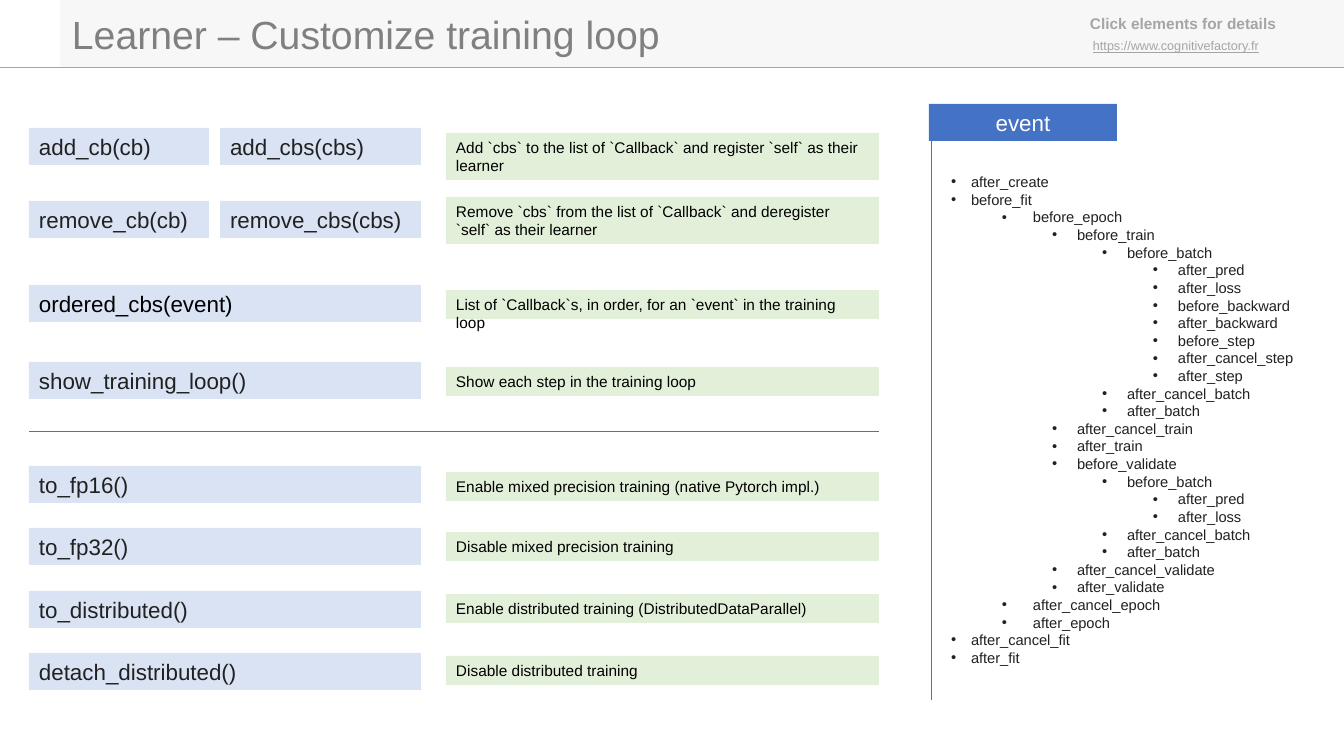
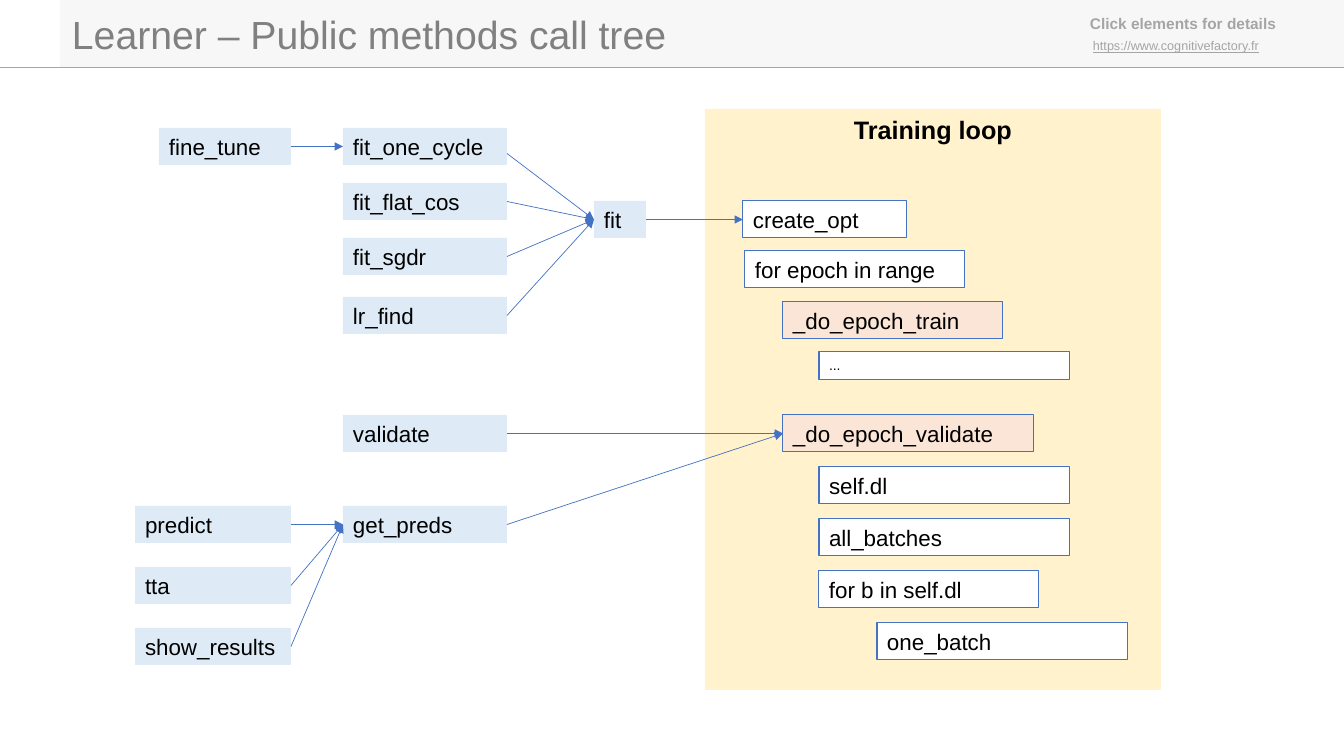
import pptx
import pptx.util
import pptx.dml.color
import pptx.enum.shapes
import pptx.enum.text
import pptx.oxml
import pptx.oxml.ns

PX = 12192000 / 1344
FONT = "Arial"
COLORS = {
    "band": "F7F7F7", "rule": "A5A5A5", "title": "808080", "ink": "212121",
    "black": "000000", "white": "FFFFFF", "accent": "4472C4",
    "method": "DAE3F3", "note": "E2F0D9", "call": "DEEBF7",
    "loop": "FFF2CC", "epoch": "FBE5D6",
}
ALIGN = pptx.enum.text.PP_ALIGN
BOX_H = 37

# y, method names, text colour, y and height of the note, note
METHODS = [
    (0, ["add_cb(cb)", "add_cbs(cbs)"], "ink", 5, 47,
     "Add `cbs` to the list of `Callback` and register `self` as their learner"),
    (73, ["remove_cb(cb)", "remove_cbs(cbs)"], "ink", 69, 47,
     "Remove `cbs` from the list of `Callback` and deregister `self` as their learner"),
    (157, ["ordered_cbs(event)"], "black", 162, 29,
     "List of `Callback`s, in order, for an `event` in the training loop"),
    (234, ["show_training_loop()"], "ink", 239, 29, "Show each step in the training loop"),
    (338, ["to_fp16()"], "ink", 344, 29,
     "Enable mixed precision training (native Pytorch impl.)"),
    (400, ["to_fp32()"], "ink", 404, 29, "Disable mixed precision training"),
    (463, ["to_distributed()"], "ink", 466, 29,
     "Enable distributed training (DistributedDataParallel)"),
    (525, ["detach_distributed()"], "ink", 528, 29, "Disable distributed training"),
]

# Two spaces of indent make one list level
EVENTS = """\
after_create
before_fit
  before_epoch
    before_train
      before_batch
        after_pred
        after_loss
        before_backward
        after_backward
        before_step
        after_cancel_step
        after_step
      after_cancel_batch
      after_batch
    after_cancel_train
    after_train
    before_validate
      before_batch
        after_pred
        after_loss
      after_cancel_batch
      after_batch
    after_cancel_validate
    after_validate
  after_cancel_epoch
  after_epoch
after_cancel_fit
after_fit"""
LEVELS = [(20, 20), (82, 31), (126, 25), (176, 25), (227, 25)]  # margin, hanging

# name, x, y, width
CALLS = [
    ("fine_tune", 24, 0, 132), ("fit", 459, 73, 52),
    ("fit_one_cycle", 208, 0, 164), ("fit_flat_cos", 208, 55, 164),
    ("fit_sgdr", 208, 110, 164), ("lr_find", 208, 169, 164),
    ("validate", 208, 287, 164), ("get_preds", 208, 378, 164),
    ("predict", 0, 378, 156), ("tta", 0, 439, 156), ("show_results", 0, 500, 156),
]

# name, x, y, width, height, fill
STEPS = [
    ("create_opt", 38, 92, 164, BOX_H, "white"),
    ("for epoch in range", 40, 142, 220, BOX_H, "white"),
    ("_do_epoch_train", 78, 193, 220, BOX_H, "epoch"),
    ("...", 114, 243, 251, 28, "white"),
    ("_do_epoch_validate", 78, 306, 251, BOX_H, "epoch"),
    ("self.dl", 114, 358, 251, BOX_H, "white"),
    ("all_batches", 114, 410, 251, BOX_H, "white"),
    ("for b in self.dl", 114, 462, 220, BOX_H, "white"),
    ("one_batch", 172, 514, 251, BOX_H, "white"),
]

# caller, called, shift of the start below the middle of the side
ARROWS = [
    ("fine_tune", "fit_one_cycle", 0), ("fit_one_cycle", "fit", 7),
    ("fit_flat_cos", "fit", 0), ("fit_sgdr", "fit", 0), ("lr_find", "fit", 0),
    ("fit", "create_opt", 0), ("validate", "_do_epoch_validate", 0),
    ("get_preds", "_do_epoch_validate", 0), ("predict", "get_preds", 0),
    ("tta", "get_preds", 0), ("show_results", "get_preds", 0),
]


def px(*values):
    return [pptx.util.Emu(round(v * PX)) for v in values]


def rgb(name):
    return pptx.dml.color.RGBColor.from_string(COLORS[name])


def add_xml(parent, tag, **attrs):
    el = pptx.oxml.parse_xml(f"<a:{tag} {pptx.oxml.ns.nsdecls('a')}/>")
    for key, value in attrs.items():
        el.set(key, value)
    parent.append(el)


def setup_frame(tf, anchor=pptx.enum.text.MSO_ANCHOR.TOP):
    tf.word_wrap = True
    tf.auto_size = pptx.enum.text.MSO_AUTO_SIZE.NONE
    tf.vertical_anchor = anchor
    tf.margin_left, tf.margin_right, tf.margin_top, tf.margin_bottom = px(10, 10, 5, 5)


def format_runs(p, size, color, bold=False, underline=False):
    for r in p.runs:
        r.font.name = FONT
        r.font.size = pptx.util.Pt(size)
        r.font.color.rgb = rgb(color)
        r.font.bold = bold
        r.font.underline = underline


def set_text(sp, text, size, color, align=ALIGN.LEFT, **style):
    setup_frame(sp.text_frame)
    p = sp.text_frame.paragraphs[0]
    p.text = text
    p.alignment = align
    format_runs(p, size, color, **style)


def add_box(slide, box, fill, line=None):
    sp = slide.shapes.add_shape(pptx.enum.shapes.MSO_SHAPE.RECTANGLE, *px(*box))
    sp.shadow.inherit = False
    sp.fill.solid()
    sp.fill.fore_color.rgb = rgb(fill)
    if line:
        sp.line.color.rgb = rgb(line)
        sp.line.width = pptx.util.Pt(0.75)
    else:
        sp.line.fill.background()
    return sp


def add_line(slide, x1, y1, x2, y2, color="accent"):
    line = slide.shapes.add_connector(
        pptx.enum.shapes.MSO_CONNECTOR.STRAIGHT, *px(x1, y1, x2, y2))
    line.line.color.rgb = rgb(color)
    line.line.width = pptx.util.Pt(0.5)
    add_xml(line.element.spPr, "effectLst")
    return line


def add_arrow(slide, start, end, shift):
    y = start.top + start.height // 2
    arrow = add_line(slide, 0, 0, 1, 1)
    if shift:
        arrow.begin_x = start.left + start.width
        arrow.begin_y = y + px(shift)[0]
    else:
        arrow.begin_connect(start, 3)
    arrow.end_connect(end, 1)
    add_xml(arrow.line._get_or_add_ln(), "tailEnd", type="triangle")


def place(sp, box):
    sp.left, sp.top, sp.width, sp.height = px(*box)


def add_title(slide, text):
    title = slide.shapes.title
    place(title, (62, 5, 620, 57))
    set_text(title, text, 28, "title")
    title.text_frame.vertical_anchor = pptx.enum.text.MSO_ANCHOR.MIDDLE


def move_header_to_master(slide, master):
    """Draw the header band and hand it to the master, behind its placeholders."""
    parts = [add_box(slide, (60, 0, 1284, 67), "band"),
             add_line(slide, 0, 67, 1344, 67, "rule")]
    for box, text, size, style in [
            ((1080, 9, 214, 29), "Click elements for details", 11, {"bold": True}),
            ((1083, 33, 211, 25), "https://www.cognitivefactory.fr", 9, {"underline": True})]:
        sp = slide.shapes.add_textbox(*px(*box))
        set_text(sp, text, size, "rule", **style)
        parts.append(sp)
    for i, sp in enumerate(parts):
        sp.element.xpath(".//p:cNvPr")[0].set("id", str(101 + i))
        master.shapes.element.insert(2 + i, sp.element)


def add_methods(slide, left, top):
    columns = {1: [(0, 392)], 2: [(0, 180), (191, 201)]}
    for y, names, color, note_y, note_h, note in METHODS:
        for name, (x, w) in zip(names, columns[len(names)]):
            sp = add_box(slide, (left + x, top + y, w, BOX_H), "method")
            set_text(sp, name, 16, color)
        sp = add_box(slide, (left + 417, top + note_y, 433, note_h), "note")
        set_text(sp, note, 11, "black")
    add_line(slide, left, top + 303, left + 850, top + 303)


def add_events(slide, body, left, top):
    sp = add_box(slide, (left, top, 188, BOX_H), "accent")
    set_text(sp, "event", 16, "white", ALIGN.CENTER)
    add_line(slide, left + 2, top, left + 2, top + 596)

    place(body, (left + 12, top + 64, 374, 509))
    tf = body.text_frame
    setup_frame(tf)
    for i, row in enumerate(EVENTS.splitlines()):
        p = tf.paragraphs[0] if i == 0 else tf.add_paragraph()
        p.text = row.strip()
        p.level = (len(row) - len(p.text)) // 2
        p.space_before = pptx.util.Pt(0)
        margin, hanging = px(*LEVELS[p.level])
        pPr = p._p.get_or_add_pPr()
        pPr.set("marL", str(margin))
        pPr.set("indent", str(-hanging))
        add_xml(pPr, "buFont", typeface=FONT)
        add_xml(pPr, "buChar", char="•")
        format_runs(p, 10.5, "ink")


def add_calls(slide, left, top):
    boxes = {}
    for name, x, y, w in CALLS:
        boxes[name] = add_box(slide, (left + x, top + y, w, BOX_H), "call")
        set_text(boxes[name], name, 16, "black")
    return boxes


def add_training_loop(slide, left, top):
    panel = add_box(slide, (left, top, 456, 581), "loop")
    set_text(panel, "Training loop", 18, "black", ALIGN.CENTER, bold=True)
    boxes = {}
    for name, x, y, w, h, fill in STEPS:
        boxes[name] = add_box(slide, (left + x, top + y, w, h), fill, "accent")
        set_text(boxes[name], name, 10 if name == "..." else 16, "black")
    return boxes


def build_customize_slide(prs):
    slide = prs.slides.add_slide(prs.slide_layouts[1])
    move_header_to_master(slide, prs.slide_master)
    add_title(slide, "Learner – Customize training loop")
    add_methods(slide, 29, 128)
    add_events(slide, slide.placeholders[1], 929, 104)


def build_call_tree_slide(prs):
    slide = prs.slides.add_slide(prs.slide_layouts[5])
    add_title(slide, "Learner – Public methods call tree")
    boxes = add_training_loop(slide, 705, 109)
    boxes.update(add_calls(slide, 135, 128))
    for caller, called, shift in ARROWS:
        add_arrow(slide, boxes[caller], boxes[called], shift)


def main():
    prs = pptx.Presentation()
    prs.slide_width, prs.slide_height = px(1344, 756)
    build_customize_slide(prs)
    build_call_tree_slide(prs)
    prs.save("out.pptx")


if __name__ == "__main__":
    main()
